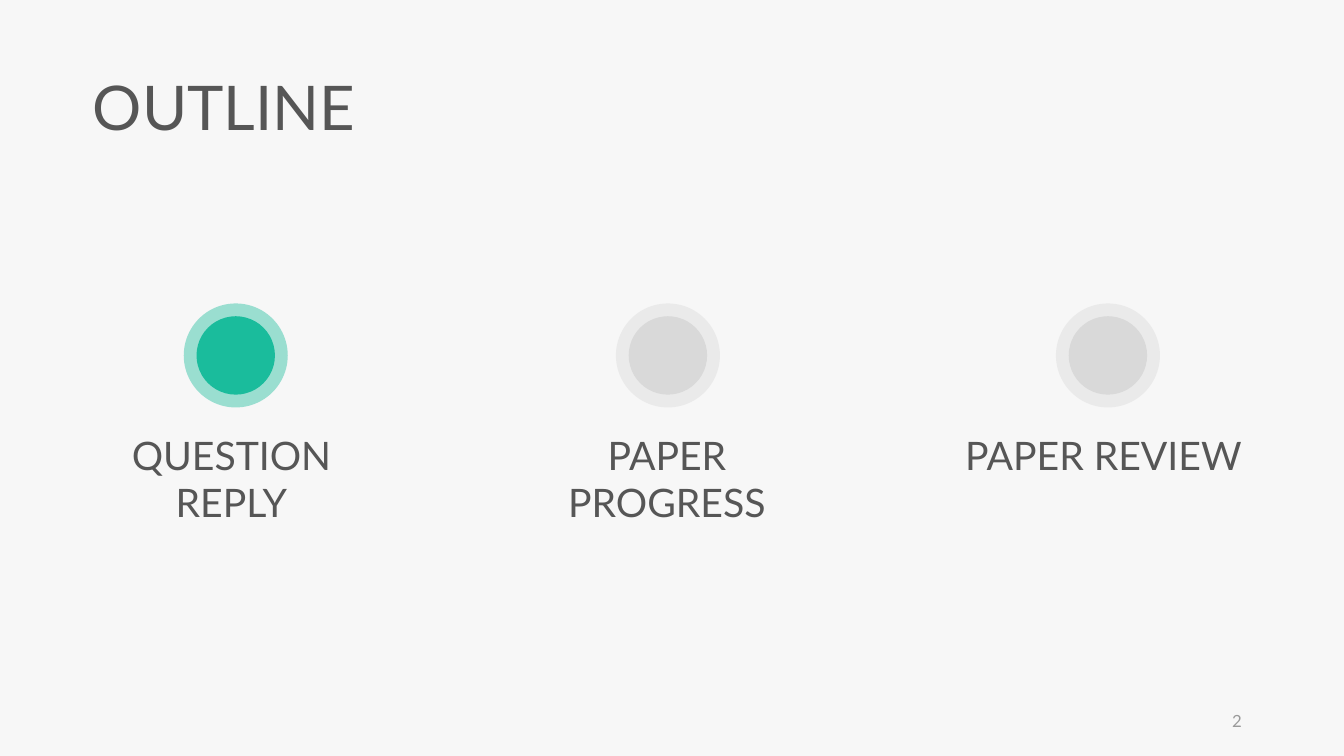
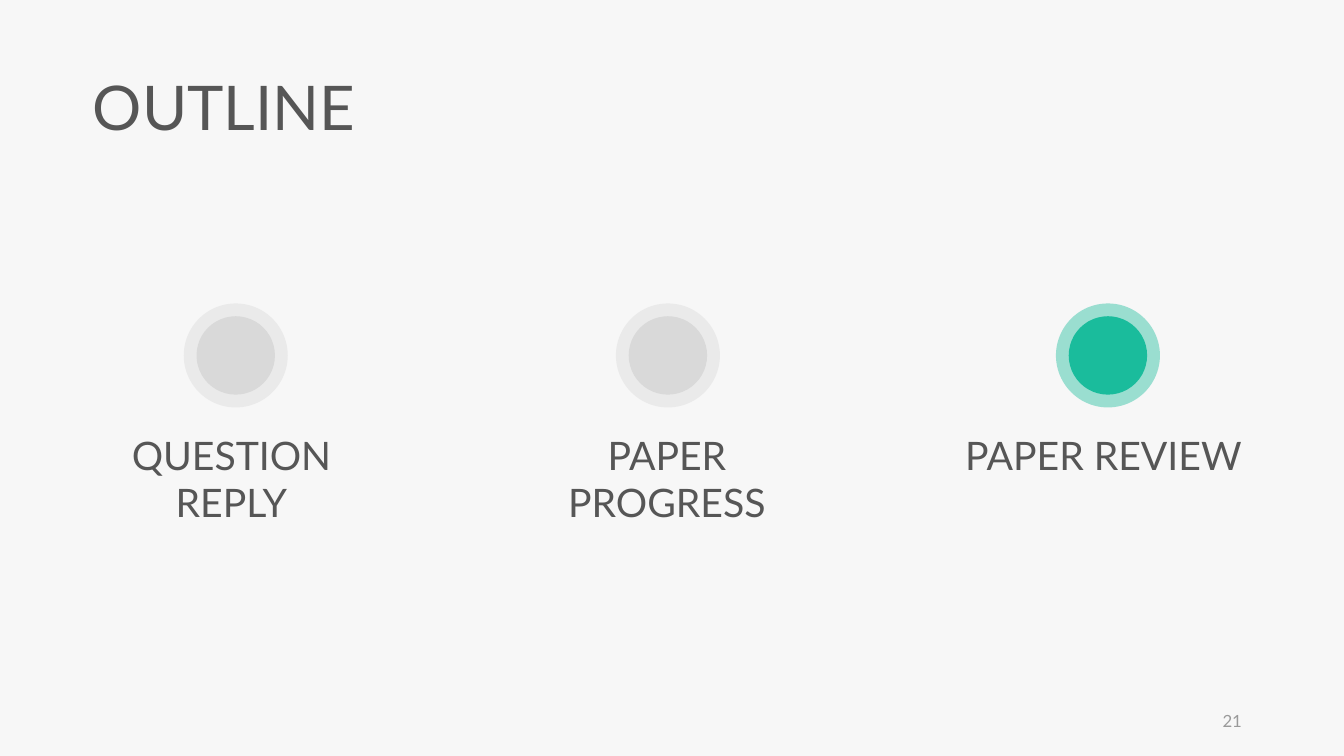
from dataclasses import dataclass

from lxml.etree import SubElement
from pptx import Presentation
from pptx.dml.color import RGBColor
from pptx.enum.shapes import MSO_SHAPE
from pptx.enum.text import MSO_ANCHOR, MSO_AUTO_SIZE, PP_ALIGN
from pptx.oxml.ns import qn
from pptx.presentation import Presentation as Deck
from pptx.shapes.autoshape import Shape
from pptx.shapes.group import GroupShape
from pptx.slide import Slide
from pptx.text.text import TextFrame, _Paragraph as Paragraph
from pptx.util import Pt


@dataclass(frozen=True)
class Theme:
    """Colours, font and type sizes shared by all slides."""

    background: RGBColor = RGBColor(0xF7, 0xF7, 0xF7)
    text: RGBColor = RGBColor(0x56, 0x56, 0x56)
    number: RGBColor = RGBColor(0x9A, 0x9A, 0x9A)
    active: RGBColor = RGBColor(0x1A, 0xBC, 0x9C)
    inactive: RGBColor = RGBColor(0xD9, 0xD9, 0xD9)
    font: str = "Lato"
    title_size: float = 44
    label_size: float = 28
    number_size: float = 12
    halo_opacity: int = 42


@dataclass(frozen=True)
class Box:
    """A rectangle measured in points."""

    left: float
    top: float
    width: float
    height: float


@dataclass(frozen=True)
class Section:
    """An outline entry with its label box and marker centre."""

    label: str
    label_left: float
    label_height: float
    marker_center: float


@dataclass(frozen=True)
class OutlineSlide:
    """A slide number and the section highlighted on that slide."""

    number: int
    active_section: int


THEME = Theme()
TITLE_BOX = Box(66.24, 51.84, 409.68, 55.44)
NUMBER_BOX = Box(678.24, 500.4, 216, 28.8)
LABEL_TOP, LABEL_WIDTH = 304.56, 205.2
MARKER_MIDDLE, HALO_DIAMETER, CORE_DIAMETER = 253.9, 74.3, 56
SECTIONS = (
    Section("QUESTION REPLY", 66.24, 74.88, 168.4),
    Section("PAPER PROGRESS", 377.28, 74.88, 477.1),
    Section("PAPER REVIEW", 689.04, 41.04, 791.4),
)
OUTLINE_SLIDES = (OutlineSlide(2, 0), OutlineSlide(21, 2))


def add_text(frame: TextFrame, text: str, size: float, color: RGBColor,
             alignment: PP_ALIGN) -> Paragraph:
    """Write one formatted run into the first paragraph of a frame."""
    paragraph = frame.paragraphs[0]
    paragraph.alignment = alignment
    run = paragraph.add_run()
    run.text = text
    run.font.name = THEME.font
    run.font.size = Pt(size)
    run.font.color.rgb = color
    return paragraph


def format_heading_frame(frame: TextFrame) -> None:
    """Give a frame the flush left inset shared by title and labels."""
    frame.word_wrap = True
    frame.auto_size = MSO_AUTO_SIZE.SHAPE_TO_FIT_TEXT
    frame.vertical_anchor = MSO_ANCHOR.TOP
    frame.margin_left = Pt(0)
    frame.margin_right = Pt(7.2)
    frame.margin_top = frame.margin_bottom = Pt(3.6)


def add_text_box(slide: Slide, box: Box) -> TextFrame:
    """Add a text box and return its frame."""
    shape = slide.shapes.add_textbox(
        Pt(box.left), Pt(box.top), Pt(box.width), Pt(box.height))
    shape.text_frame.word_wrap = True
    return shape.text_frame


def add_title(slide: Slide, text: str) -> None:
    """Place and fill the title placeholder."""
    title = slide.shapes.title
    title.left, title.top = Pt(TITLE_BOX.left), Pt(TITLE_BOX.top)
    title.width, title.height = Pt(TITLE_BOX.width), Pt(TITLE_BOX.height)
    format_heading_frame(title.text_frame)
    paragraph = add_text(title.text_frame, text, THEME.title_size,
                         THEME.text, PP_ALIGN.LEFT)
    paragraph.line_spacing = 0.9
    paragraph.space_before = Pt(10)


def add_circle(group: GroupShape, center: float, diameter: float,
               color: RGBColor) -> Shape:
    """Add a plain filled circle on the marker line."""
    circle = group.shapes.add_shape(
        MSO_SHAPE.OVAL, Pt(center - diameter / 2),
        Pt(MARKER_MIDDLE - diameter / 2), Pt(diameter), Pt(diameter))
    circle.shadow.inherit = False
    circle.fill.solid()
    circle.fill.fore_color.rgb = color
    circle.line.fill.background()
    return circle


def set_opacity(shape: Shape, percent: int) -> None:
    """Make a solid shape fill partly transparent."""
    color = shape.fill._xPr.find(qn("a:solidFill")).find(qn("a:srgbClr"))
    SubElement(color, qn("a:alpha"), val=str(percent * 1000))


def add_section(slide: Slide, section: Section, is_active: bool) -> None:
    """Draw the marker and label of one section."""
    color = THEME.active if is_active else THEME.inactive
    marker = slide.shapes.add_group_shape()
    halo = add_circle(marker, section.marker_center, HALO_DIAMETER, color)
    set_opacity(halo, THEME.halo_opacity)
    add_circle(marker, section.marker_center, CORE_DIAMETER, color)
    frame = add_text_box(slide, Box(
        section.label_left, LABEL_TOP, LABEL_WIDTH, section.label_height))
    format_heading_frame(frame)
    add_text(frame, section.label, THEME.label_size, THEME.text,
             PP_ALIGN.CENTER)


def add_slide_number(slide: Slide, number: int) -> None:
    """Write the slide number at the lower right."""
    frame = add_text_box(slide, NUMBER_BOX)
    frame.vertical_anchor = MSO_ANCHOR.MIDDLE
    add_text(frame, str(number), THEME.number_size, THEME.number,
             PP_ALIGN.RIGHT)


def add_outline_slide(presentation: Deck, outline: OutlineSlide) -> None:
    """Build one outline slide with its active section highlighted."""
    slide = presentation.slides.add_slide(presentation.slide_layouts[5])
    add_title(slide, "OUTLINE")
    for index, section in enumerate(SECTIONS):
        add_section(slide, section, index == outline.active_section)
    add_slide_number(slide, outline.number)


def main() -> None:
    """Build and save the presentation."""
    presentation = Presentation()
    presentation.slide_width, presentation.slide_height = Pt(960), Pt(540)
    background = presentation.slide_master.background.fill
    background.solid()
    background.fore_color.rgb = THEME.background
    for outline in OUTLINE_SLIDES:
        add_outline_slide(presentation, outline)
    presentation.save("out.pptx")


if __name__ == "__main__":
    main()
